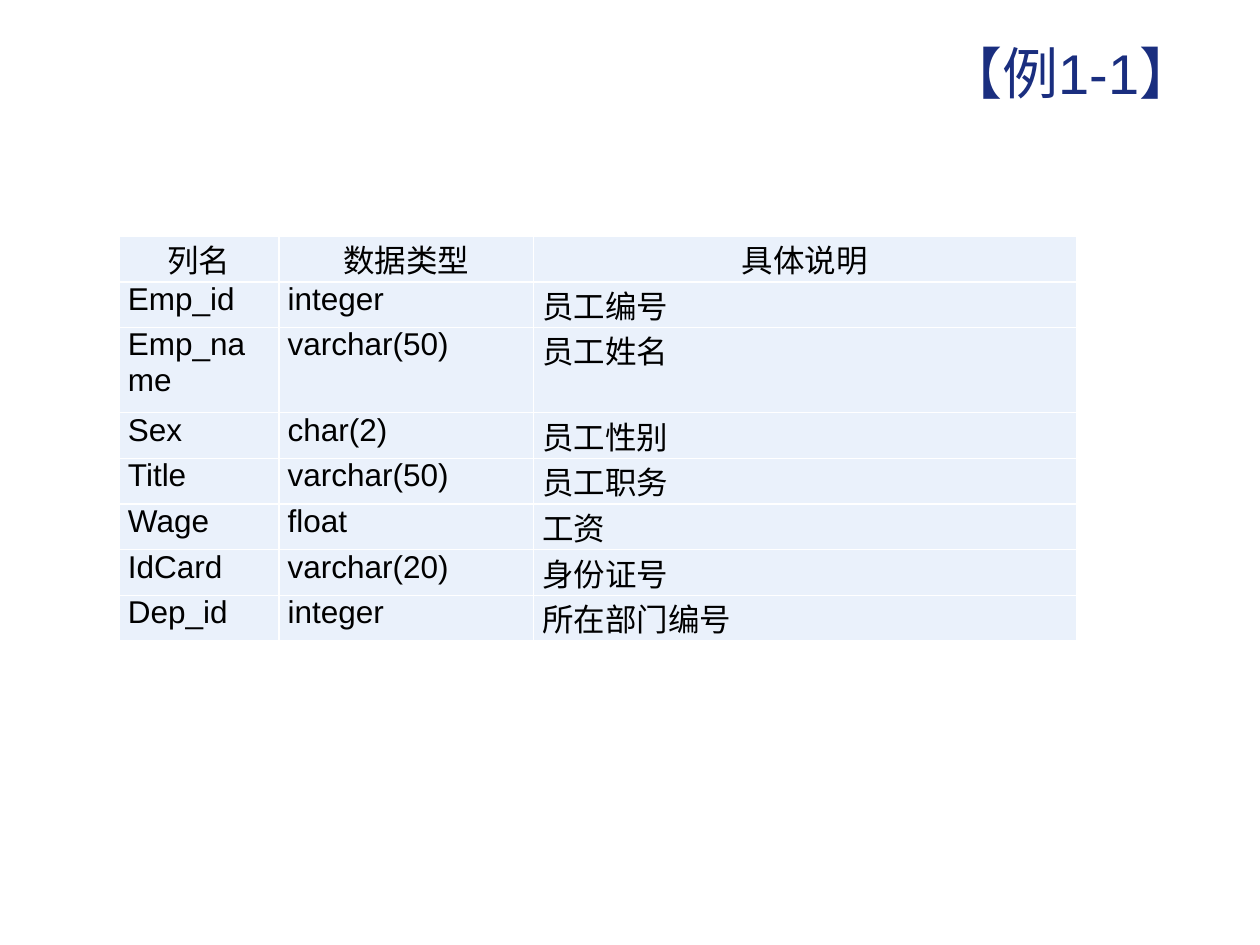
from lxml.etree import SubElement
from pptx import Presentation
from pptx.dml.color import RGBColor
from pptx.enum.text import MSO_ANCHOR as Anchor, PP_ALIGN as Align
from pptx.oxml.ns import qn
from pptx.util import Cm, Pt

COLORS = {"title": "1A2E7F", "text": "000000", "cell": "EAF1FB", "border": "FFFFFF"}


class SlideBuilder:
    font = "Arial"
    title_size = 32
    cell_size = 18
    cell_spacing = 1.6
    cell_inset = 0.18

    def __init__(self, slide):
        self.slide = slide

    def format_text(self, paragraph, size, color, align):
        paragraph.alignment = align
        for run in paragraph.runs:
            run.font.name = self.font
            run.font.size = Pt(size)
            run.font.color.rgb = RGBColor.from_string(COLORS[color])

    def title(self, text, left, top, width, height):
        heading = self.slide.shapes.title
        heading.left, heading.top = Cm(left), Cm(top)
        heading.width, heading.height = Cm(width), Cm(height)
        frame = heading.text_frame
        frame.text = text
        frame.vertical_anchor = Anchor.MIDDLE
        self.format_text(frame.paragraphs[0], self.title_size, "title", Align.RIGHT)

    def borders(self, cell):
        properties = cell._tc.get_or_add_tcPr()
        for side in ("a:lnL", "a:lnR", "a:lnT", "a:lnB"):
            line = SubElement(properties, qn(side), w=str(Pt(1)))
            fill = SubElement(line, qn("a:solidFill"))
            SubElement(fill, qn("a:srgbClr"), val=COLORS["border"])

    def cell(self, cell, text, align):
        cell.text = text
        cell.margin_left = cell.margin_right = Cm(self.cell_inset)
        cell.margin_top = cell.margin_bottom = 0
        paragraph = cell.text_frame.paragraphs[0]
        paragraph.space_before = paragraph.space_after = Pt(self.cell_spacing)
        self.format_text(paragraph, self.cell_size, "text", align)
        self.borders(cell)
        cell.fill.solid()
        cell.fill.fore_color.rgb = RGBColor.from_string(COLORS["cell"])

    def table(self, records, left, top, widths, heights):
        table = self.slide.shapes.add_table(
            len(records), len(widths), Cm(left), Cm(top),
            Cm(sum(widths)), Cm(sum(heights))).table
        table.first_row = table.horz_banding = False
        for column, width in zip(table.columns, widths):
            column.width = Cm(width)
        for index, (row, record, height) in enumerate(zip(table.rows, records, heights)):
            row.height = Cm(height)
            align = Align.LEFT if index else Align.CENTER
            for cell, text in zip(row.cells, record):
                self.cell(cell, text, align)


FIELDS = [
    ("列名", "数据类型", "具体说明"),
    ("Emp_id", "integer", "员工编号"),
    ("Emp_name", "varchar(50)", "员工姓名"),
    ("Sex", "char(2)", "员工性别"),
    ("Title", "varchar(50)", "员工职务"),
    ("Wage", "float", "工资"),
    ("IdCard", "varchar(20)", "身份证号"),
    ("Dep_id", "integer", "所在部门编号"),
]
ROW_HEIGHT = 0.86
row_heights = [ROW_HEIGHT * (2 if name == "Emp_name" else 1) for name, *_ in FIELDS]

presentation = Presentation()
presentation.slide_width, presentation.slide_height = Cm(25.4), Cm(19.05)
title_only = presentation.slide_layouts[5]
builder = SlideBuilder(presentation.slides.add_slide(title_only))
builder.title("【例1-1】", 1.07, 0.38, 23.29, 2.16)
builder.table(FIELDS, 2.4, 4.76, [3.22, 5.13, 10.95], row_heights)
presentation.save("out.pptx")
